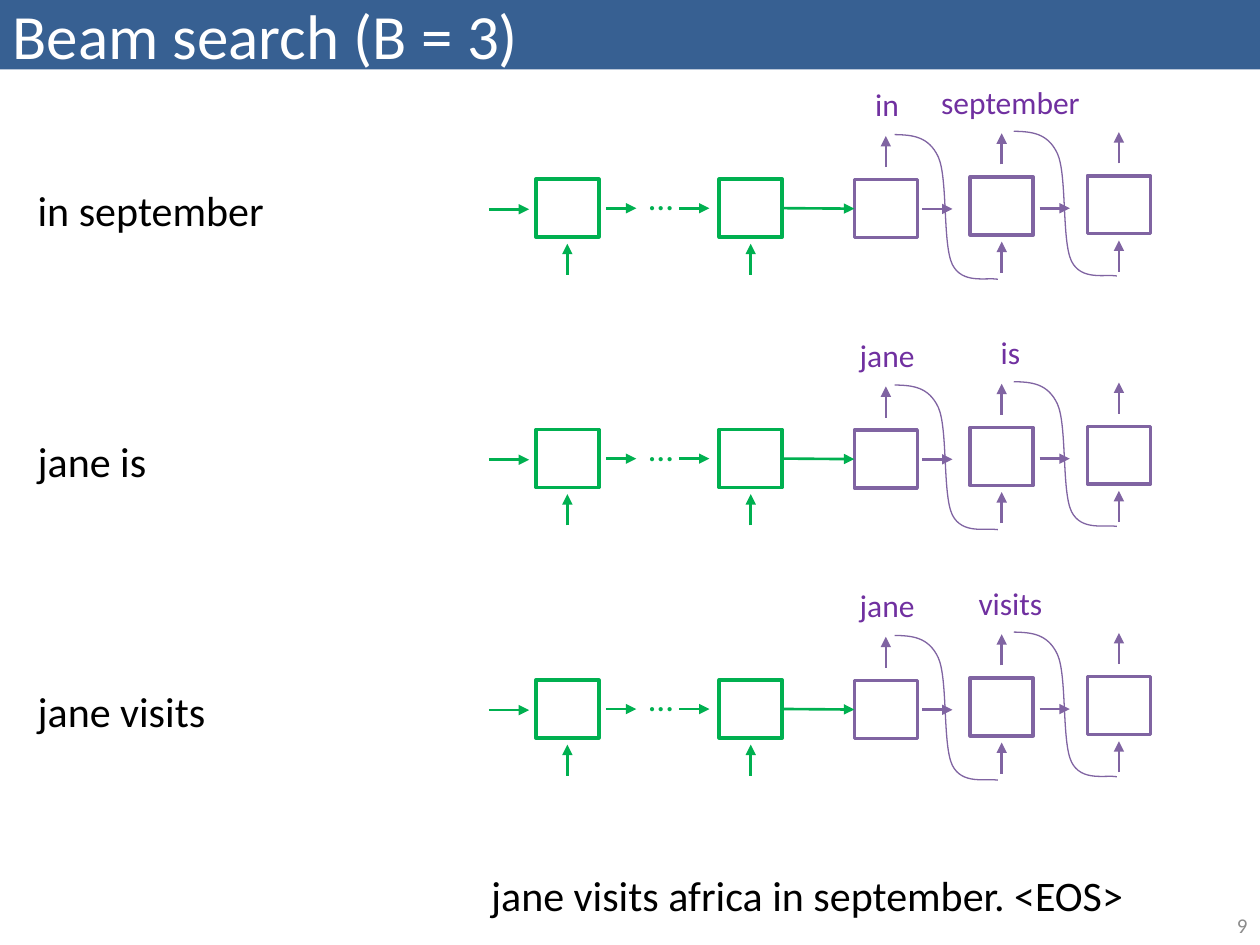
from lxml.etree import SubElement
from pptx import Presentation
from pptx.dml.color import RGBColor
from pptx.enum.shapes import MSO_CONNECTOR, MSO_SHAPE
from pptx.enum.text import MSO_ANCHOR, MSO_AUTO_SIZE, PP_ALIGN
from pptx.oxml.ns import qn
from pptx.util import Pt

BLUE = RGBColor(0x37, 0x60, 0x92)
GREEN = RGBColor(0x00, 0xB0, 0x50)
PURPLE = RGBColor(0x80, 0x64, 0xA2)
WORD_PURPLE = RGBColor(0x70, 0x30, 0xA0)
BLACK = RGBColor(0, 0, 0)
WHITE = RGBColor(255, 255, 255)
GREY = RGBColor(0x8C, 0x8C, 0x8C)
FONT = "Calibri"

TITLE = "Beam search (B = 3)"
BEAMS = [("in", "september"), ("jane", "is"), ("jane", "visits")]
SENTENCE = "jane visits africa in september. <EOS>"
SLIDE_NUMBER = "9"

# All positions are points, for the first beam's row.
ROW_PITCH = 143.1
CELL_W, CELL_H = 36, 33.1
ENCODER_CELLS = [(306.2, 102.4), (411, 102.4)]
DECODER_CELLS = [(488.2, 102.7), (554.4, 101.2), (621.4, 100.5)]
INPUT_ARROW = (54.7, 36.9)  # start and end, below the top of a cell
OUTPUT_ARROW = (-7.2, -25)
STEP_ARROWS = [  # from x, to x, y, colour
    (279.4, 302.4, 119.6, GREEN),
    (346.3, 363.6, 119, GREEN),
    (388.1, 405.4, 119, GREEN),
    (527, 544.3, 119.4, PURPLE),
    (594, 611.3, 119, PURPLE),
]
WORD_BOXES = [(482.4, 45.2, 49, 28.8), (526.3, 43.9, 102.2, 28.8)]
FEEDBACK_START = (511.2, 76.9)
FEEDBACK_CURVES = [  # two control points and an end point each
    [(521.3, 77.1), (530.6, 77.8), (536.2, 89.7)],
    [(541.7, 102.1), (538.6, 139.5), (544.2, 151.1)],
    [(549.9, 162.6), (563.8, 158.4), (570.2, 159.6)],
]
FEEDBACK_SHIFTS = [(0, 0), (68.1, -1.9)]


def add_run(paragraph, text, size, color):
    run = paragraph.add_run()
    run.text = text
    run.font.name = FONT
    run.font.size = Pt(size)
    run.font.color.rgb = color


def add_text(shapes, box, text, size, color, align=PP_ALIGN.LEFT, wrap=True):
    frame = shapes.add_textbox(*map(Pt, box)).text_frame
    frame.word_wrap = wrap
    frame.auto_size = MSO_AUTO_SIZE.SHAPE_TO_FIT_TEXT
    paragraph = frame.paragraphs[0]
    paragraph.alignment = align
    add_run(paragraph, text, size, color)
    return frame


def add_arrow(shapes, x1, y1, x2, y2, color):
    arrow = shapes.add_connector(MSO_CONNECTOR.STRAIGHT, Pt(x1), Pt(y1), Pt(x2), Pt(y2))
    arrow.line.color.rgb = color
    arrow.line.width = Pt(1.5)
    properties = arrow._element.spPr
    SubElement(properties.find(qn("a:ln")), qn("a:tailEnd"), type="triangle")
    SubElement(properties, qn("a:effectLst"))
    return arrow


def add_cell(shapes, left, top, color, has_input, has_output):
    cell = shapes.add_shape(MSO_SHAPE.RECTANGLE, Pt(left), Pt(top), Pt(CELL_W), Pt(CELL_H))
    cell.shadow.inherit = False
    cell.fill.background()
    cell.line.color.rgb = color
    cell.line.width = Pt(2)
    center = left + CELL_W / 2
    for wanted, (start, end) in ((has_input, INPUT_ARROW), (has_output, OUTPUT_ARROW)):
        if wanted:
            add_arrow(shapes, center, top + start, center, top + end, color)
    return cell


def add_feedback(shapes, dx, dy):
    """Draw the curve that feeds an output word to the next cell's input."""
    x0, y0 = FEEDBACK_START
    builder = shapes.build_freeform(Pt(x0 + dx), Pt(y0 + dy))
    ends = [curve[-1] for curve in FEEDBACK_CURVES]
    builder.add_line_segments([(Pt(x + dx), Pt(y + dy)) for x, y in ends], close=False)
    feedback = builder.convert_to_shape()
    feedback.shadow.inherit = False
    feedback.fill.background()
    feedback.line.color.rgb = PURPLE
    feedback.line.width = Pt(0.75)
    # The freeform builder makes straight segments only; turn each into a Bezier.
    segments = list(feedback._element.iter(qn("a:lnTo")))
    for segment, curve in zip(segments, FEEDBACK_CURVES):
        outline = segment.getparent()
        bezier = outline.makeelement(qn("a:cubicBezTo"))
        for x, y in curve:
            SubElement(bezier, qn("a:pt"), x=str(int(Pt(x - x0))), y=str(int(Pt(y - y0))))
        outline.replace(segment, bezier)


def add_network(slide, words, dy):
    shapes = slide.shapes.add_group_shape().shapes
    encoder = [add_cell(shapes, x, y + dy, GREEN, True, False) for x, y in ENCODER_CELLS]
    decoder = [
        add_cell(shapes, x, y + dy, PURPLE, step > 0, True)
        for step, (x, y) in enumerate(DECODER_CELLS)
    ]
    for x1, x2, y, color in STEP_ARROWS:
        add_arrow(shapes, x1, y + dy, x2, y + dy, color)
    handover = add_arrow(shapes, 447, 119 + dy, 488.2, 119 + dy, GREEN)
    handover.begin_connect(encoder[-1], 3)
    handover.end_connect(decoder[0], 1)
    add_text(shapes, (359.3, 97 + dy, 33.1, 31.5), " …", 20, GREEN, wrap=False)
    for word, (x, y, width, height) in zip(words, WORD_BOXES):
        add_text(shapes, (x, y + dy, width, height), word, 18, WORD_PURPLE, PP_ALIGN.CENTER)
    for shift_x, shift_y in FEEDBACK_SHIFTS:
        add_feedback(shapes, shift_x, shift_y + dy)


def add_title(slide):
    title = slide.shapes.title
    title.left, title.top, title.width, title.height = Pt(0), Pt(0), Pt(720), Pt(39.6)
    title.fill.solid()
    title.fill.fore_color.rgb = BLUE
    title.text_frame.vertical_anchor = MSO_ANCHOR.MIDDLE
    paragraph = title.text_frame.paragraphs[0]
    paragraph.alignment = PP_ALIGN.LEFT
    add_run(paragraph, TITLE, 36, WHITE)


def main():
    prs = Presentation()
    prs.slide_width, prs.slide_height = Pt(720), Pt(540)
    slide = prs.slides.add_slide(prs.slide_layouts[5])
    add_title(slide)
    for row, words in enumerate(BEAMS):
        dy = row * ROW_PITCH
        add_network(slide, words, dy)
        add_text(slide.shapes, (14.4, 102.2 + dy, 145, 36), " ".join(words), 24, BLACK,
                 wrap=False)
    add_text(slide.shapes, (273.6, 493.2, 417.6, 36), SENTENCE, 24, BLACK)
    number = add_text(slide.shapes, (652.3, 517.7, 67.7, 22.3), SLIDE_NUMBER, 12, GREY,
                      PP_ALIGN.RIGHT)
    number.vertical_anchor = MSO_ANCHOR.MIDDLE
    prs.save("out.pptx")


if __name__ == "__main__":
    main()
